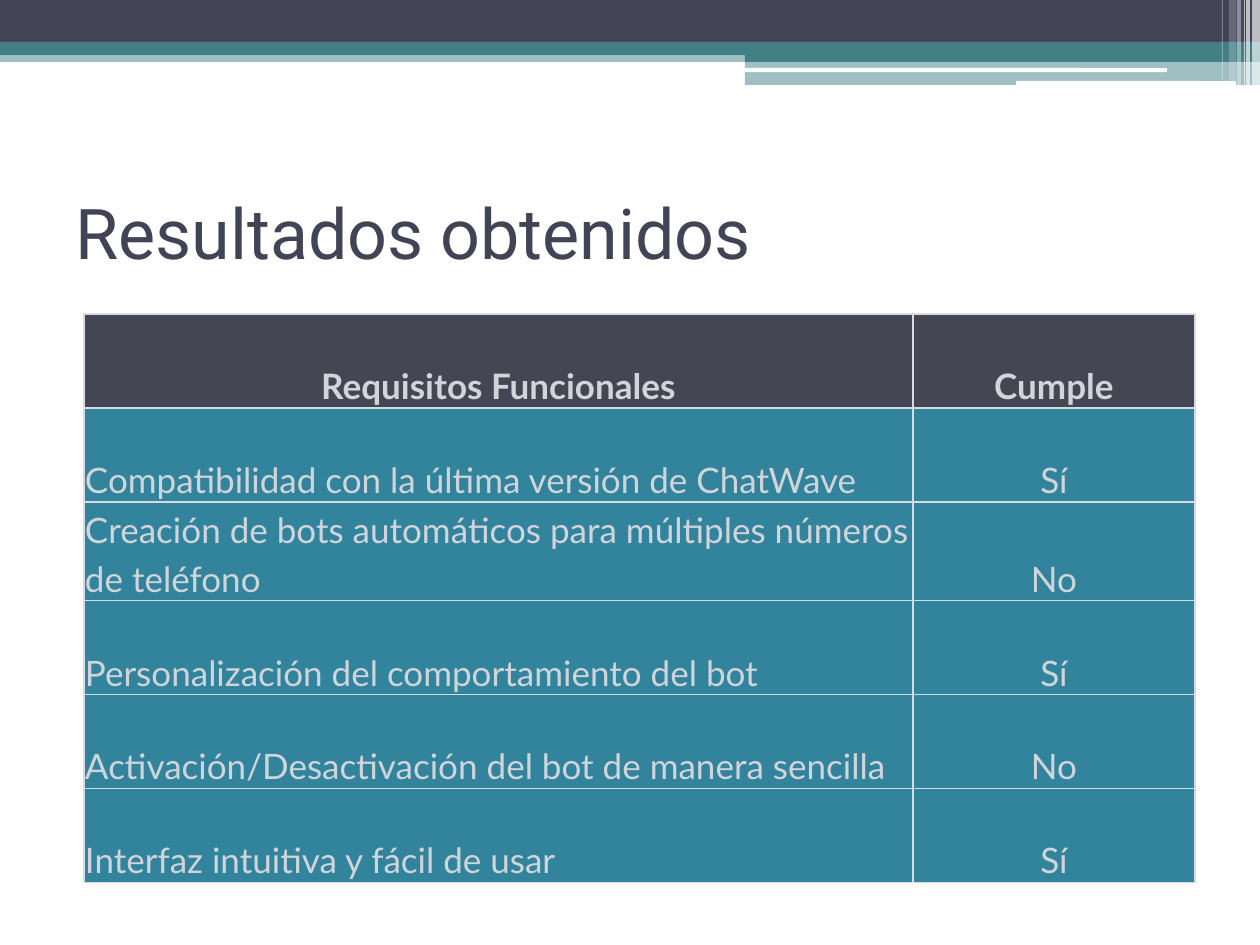
from lxml import etree
from pptx import Presentation
from pptx.dml.color import RGBColor
from pptx.enum.shapes import MSO_SHAPE
from pptx.enum.text import MSO_ANCHOR, PP_ALIGN
from pptx.oxml.ns import qn
from pptx.util import Pt

PX = 914400 / 126
RECTANGLE, ROUNDED = MSO_SHAPE.RECTANGLE, MSO_SHAPE.ROUNDED_RECTANGLE
MIDDLE, BOTTOM = MSO_ANCHOR.MIDDLE, MSO_ANCHOR.BOTTOM
LEFT, CENTER = PP_ALIGN.LEFT, PP_ALIGN.CENTER
NAVY, TEAL, WHITE = "424456", "438086", "FFFFFF"
HEADER_FILL, BODY_FILL = "444654", "31849B"
TABLE_TEXT, TABLE_LINE = "D1D5DB", "D9D9E3"
BANDS = [
    (0, 50, 1260, 12, TEAL, 50),
    (0, 0, 1260, 42, NAVY, 100),
    (0, 42, 1260, 13, TEAL, 100),
    (745, 49, 515, 13, TEAL, 100),
    (745, 61, 515, 24, TEAL, 50),
]
HIGHLIGHTS = [(745, 68, 422, 4), (1016, 81, 220, 5)]
STRIPES = [
    (1252, 8, 86, 65),
    (1246, 4, 86, 65),
    (1244, 1, 86, 60),
    (1237, 4, 86, 40),
    (1229, 7, 81, 20),
    (1222, 1, 81, 30),
]
COLUMN_WIDTHS = (829, 282)
ROW_HEIGHT = 94
REQUIREMENTS = [
    ("Requisitos Funcionales", "Cumple"),
    ("Compatibilidad con la última versión de ChatWave", "Sí"),
    ("Creación de bots automáticos para múltiples números de teléfono", "No"),
    ("Personalización del comportamiento del bot", "Sí"),
    ("Activación/Desactivación del bot de manera sencilla", "No"),
    ("Interfaz intuitiva y fácil de usar", "Sí"),
]


def emu(pixels):
    """Turn px into EMU."""
    return round(pixels * PX)


def color(value):
    """Turn a hex string into a colour."""
    return RGBColor.from_string(value)


def add_bar(slide, box, fill, opacity=100, kind=RECTANGLE):
    """Draw one borderless bar with the given opacity in percent."""
    shape = slide.shapes.add_shape(kind, *map(emu, box))
    shape.shadow.inherit = False
    shape.fill.solid()
    shape.fill.fore_color.rgb = color(fill)
    shape.line.fill.background()
    if opacity < 100:
        fill_color = shape.fill._xPr.find(qn("a:solidFill"))[0]
        etree.SubElement(fill_color, qn("a:alpha"), val=str(opacity * 1000))


def format_text(paragraph, font_name, size, text_color, bold=False):
    """Set the font of every run in a paragraph."""
    for run in paragraph.runs:
        run.font.name = font_name
        run.font.size = Pt(size)
        run.font.bold = bold
        run.font.color.rgb = color(text_color)


def add_banner(slide, left, top):
    """Draw the bands, highlights and stripes along the slide's top."""
    for x, y, width, height, fill, opacity in BANDS:
        add_bar(slide, (left + x, top + y, width, height), fill, opacity)
    for x, y, width, height in HIGHLIGHTS:
        add_bar(slide, (left + x, top + y, width, height), WHITE, kind=ROUNDED)
    for x, width, height, opacity in STRIPES:
        add_bar(slide, (left + x, top, width, height), WHITE, opacity)


def add_title(slide, box, text):
    """Place the slide's title, centred vertically in its box."""
    text_frame = slide.shapes.add_textbox(*map(emu, box)).text_frame
    text_frame.word_wrap = True
    text_frame.vertical_anchor = MIDDLE
    text_frame.text = text
    format_text(text_frame.paragraphs[0], "Roboto", 40, NAVY)


def add_cell_borders(cell):
    """Outline a cell with thin lines on all four sides."""
    properties = cell._tc.get_or_add_tcPr()
    for position, side in enumerate(("a:lnL", "a:lnR", "a:lnT", "a:lnB")):
        line = etree.Element(qn(side), w=str(Pt(1)))
        fill = etree.SubElement(line, qn("a:solidFill"))
        etree.SubElement(fill, qn("a:srgbClr"), val=TABLE_LINE)
        properties.insert(position, line)


def format_cell(cell, text, is_header, alignment):
    """Fill one table cell and format its text."""
    cell.text = text
    cell.vertical_anchor = BOTTOM
    cell.margin_left = cell.margin_right = emu(1)
    cell.margin_top = cell.margin_bottom = emu(1)
    cell.fill.solid()
    cell.fill.fore_color.rgb = color(HEADER_FILL if is_header else BODY_FILL)
    paragraph = cell.text_frame.paragraphs[0]
    paragraph.alignment = alignment
    paragraph.line_spacing = 1.15
    paragraph.space_before = paragraph.space_after = Pt(24)
    format_text(paragraph, "Lato", 20, TABLE_TEXT, is_header)
    add_cell_borders(cell)


def add_requirements_table(slide, left, top):
    """Build the table of requirements and whether each is met."""
    row_count, column_count = len(REQUIREMENTS), len(COLUMN_WIDTHS)
    box = (left, top, sum(COLUMN_WIDTHS), row_count * ROW_HEIGHT)
    table = slide.shapes.add_table(row_count, column_count, *map(emu, box)).table
    for column, width in zip(table.columns, COLUMN_WIDTHS):
        column.width = emu(width)
    for row_index, values in enumerate(REQUIREMENTS):
        table.rows[row_index].height = emu(ROW_HEIGHT)
        for column_index, text in enumerate(values):
            is_header = row_index == 0
            alignment = CENTER if is_header or column_index else LEFT
            cell = table.cell(row_index, column_index)
            format_cell(cell, text, is_header, alignment)


def main():
    """Build and save the presentation."""
    presentation = Presentation()
    presentation.slide_width = emu(1260)
    presentation.slide_height = emu(945)
    slide = presentation.slides.add_slide(presentation.slide_layouts[6])
    add_banner(slide, 0, 0)
    add_title(slide, (63, 158, 1134, 147), "Resultados obtenidos")
    add_requirements_table(slide, 84, 314)
    presentation.save("out.pptx")


if __name__ == "__main__":
    main()
